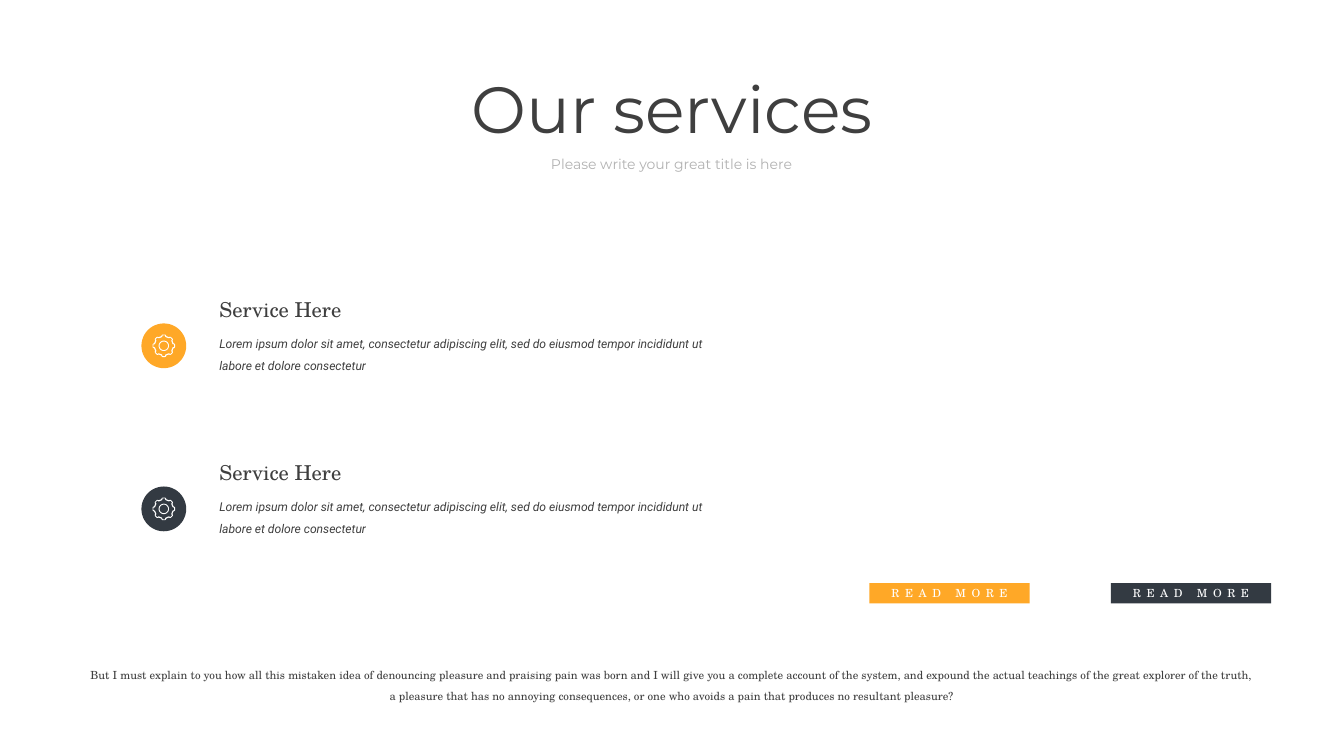
from math import cos, radians, sin
from pptx import Presentation
from pptx.dml.color import RGBColor
from pptx.enum.shapes import MSO_SHAPE as Shape
from pptx.enum.text import MSO_ANCHOR as Anchor, MSO_AUTO_SIZE as AutoSize, PP_ALIGN as Align
from pptx.util import Pt

PX = 9525  # EMU per px, 96 px to the inch
FINE = 100  # gear points are given in hundredths of a px

AMBER = RGBColor(0xFF, 0xA8, 0x27)
SLATE = RGBColor(0x33, 0x3A, 0x42)
INK = RGBColor(0x3F, 0x3F, 0x3F)
GREY = RGBColor(0xB2, 0xB2, 0xB2)
WHITE = RGBColor(0xFF, 0xFF, 0xFF)
SERIF, SANS, DISPLAY = "TeX Gyre Schola", "Roboto", "Montserrat"

deck = Presentation()
deck.slide_width, deck.slide_height = 1920 * PX, 1080 * PX
page = deck.slides.add_slide(deck.slide_layouts[0])
shapes = page.shapes


def write(box, text, font, size, color, align=Align.LEFT, anchor=Anchor.TOP, spacing=1.0):
    frame = box.text_frame
    frame.text = text
    frame.word_wrap = True
    frame.auto_size = AutoSize.NONE
    frame.vertical_anchor = anchor
    para = frame.paragraphs[0]
    para.alignment = align
    para.line_spacing = spacing
    para.space_before = Pt(0)
    span = para.runs[0]
    span.font.name, span.font.size = font, Pt(size)
    span.font.color.rgb = color
    return span


def paint(shape, color):
    shape.shadow.inherit = False
    shape.fill.solid()
    shape.fill.fore_color.rgb = color
    shape.line.fill.background()


# Title and subtitle
title, subtitle = page.placeholders
for box, bounds, text, size, color in (
    (title, (312, 93, 1296, 123), "Our services", 70, INK),
    (subtitle, (638, 217, 643, 34), "Please write your great title is here", 15, GREY),
):
    box.left, box.top, box.width, box.height = [value * PX for value in bounds]
    write(box, text, DISPLAY, size, color, Align.CENTER)

# Gear outline: half a tooth as (angle, radius), mirrored and turned eight times
contours = []
for half_tooth in (((15, 14.3), (11, 15.6), (7, 16.2)), ((13, 12.7), (9, 13.3), (7, 15))):
    tooth = [(-angle, radius) for angle, radius in half_tooth] + list(reversed(half_tooth))
    contours.append([(45 * turn + angle, radius) for turn in range(8) for angle, radius in tooth])
for hub_radius in (7.4, 6.1):
    contours.append([(angle, hub_radius) for angle in range(0, 360, 10)])
gear_points = [
    [(radius * FINE * cos(radians(angle)), radius * FINE * sin(radians(angle)))
     for angle, radius in contour]
    for contour in contours
]

# Services: badge with gear, heading and description
for row, color in enumerate((AMBER, SLATE)):
    top = 420 + 233 * row
    badge = shapes.add_shape(Shape.OVAL, 202 * PX, (top + 42) * PX, 64 * PX, 64 * PX)
    paint(badge, color)

    builder = shapes.build_freeform(*gear_points[0][0], scale=PX / FINE)
    for index, points in enumerate(gear_points):
        if index:
            builder.move_to(*points[0])
        builder.add_line_segments(points[1:], close=True)
    gear = builder.convert_to_shape(234 * PX, (top + 74) * PX)
    paint(gear, WHITE)

    heading = shapes.add_textbox(304 * PX, top * PX, 292 * PX, 45 * PX)
    write(heading, "Service Here", SERIF, 22, INK)
    description = shapes.add_textbox(304 * PX, (top + 46) * PX, 724 * PX, 69 * PX)
    span = write(
        description,
        "Lorem ipsum dolor sit amet, consectetur adipiscing elit, "
        "sed do eiusmod tempor incididunt ut labore et dolore consectetur",
        SANS, 13, INK, spacing=1.5)
    span.font.italic = True

# Buttons
for column, color in enumerate((AMBER, SLATE)):
    button = shapes.add_shape(
        Shape.RECTANGLE, (1242 + 345 * column) * PX, 833 * PX, 229 * PX, 29 * PX)
    paint(button, color)
    span = write(button, "READ MORE", SERIF, 12, WHITE, Align.CENTER, Anchor.MIDDLE)
    span.font._element.set("spc", "600")  # letter spacing of 6 pt

# Closing text
closing = shapes.add_textbox(114 * PX, 941 * PX, 1692 * PX, 68 * PX)
write(
    closing,
    "But I must explain to you how all this mistaken idea of denouncing pleasure and "
    "praising pain was born and I will give you a complete account of the system, and "
    "expound the actual teachings of the great explorer of the truth, a pleasure that has "
    "no annoying consequences, or one who avoids a pain that produces no resultant pleasure?",
    SERIF, 12, INK, Align.CENTER, spacing=1.5)

deck.save("out.pptx")
